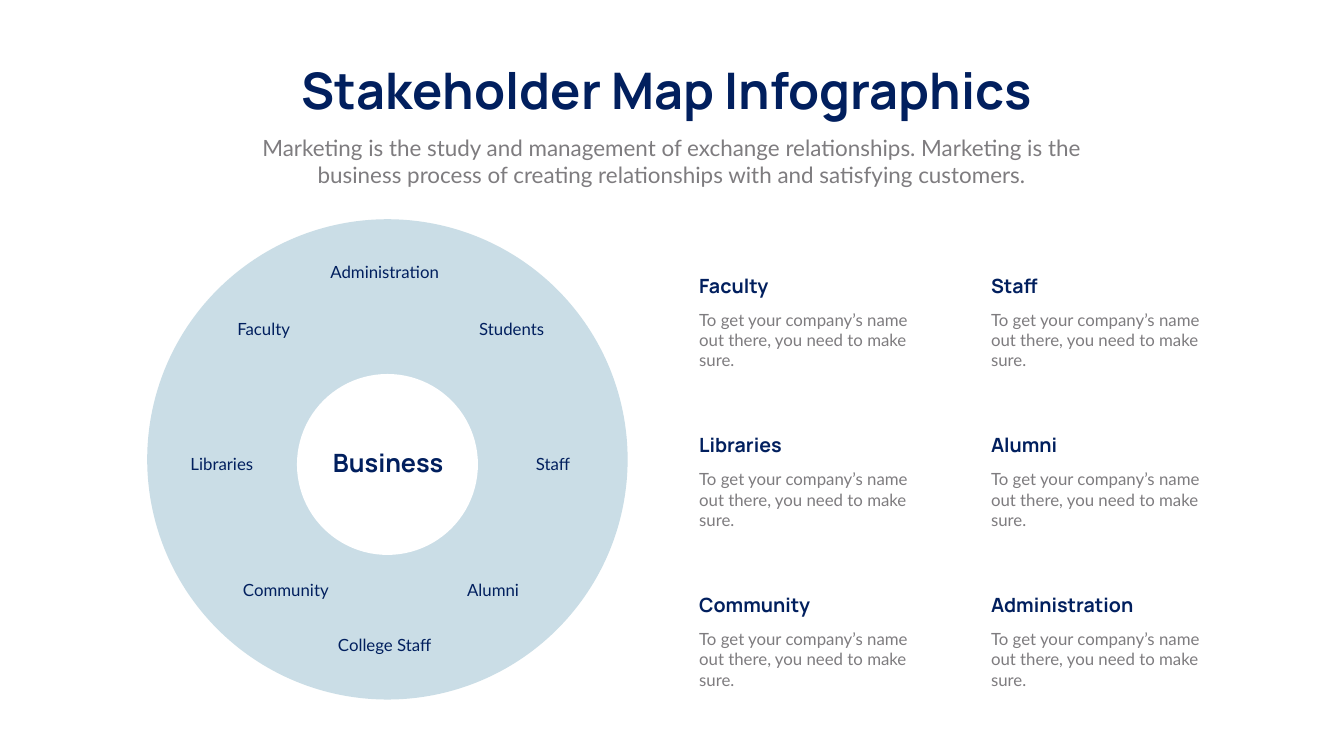
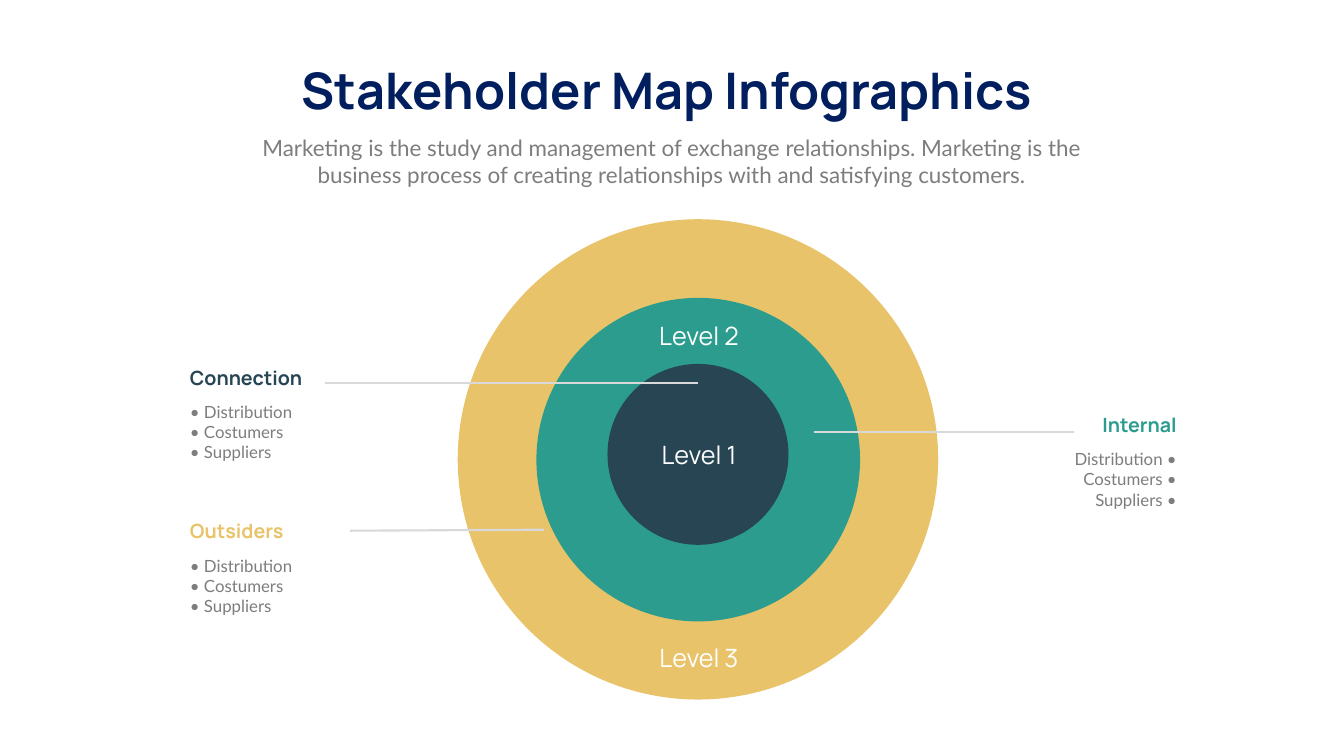
import dataclasses

import lxml.etree
import pptx
import pptx.dml.color
import pptx.enum.shapes
import pptx.enum.text
import pptx.oxml.ns
import pptx.util

Inches = pptx.util.Inches
ALIGN = pptx.enum.text.PP_ALIGN
SHAPE = pptx.enum.shapes.MSO_SHAPE


@dataclasses.dataclass(frozen=True)
class Theme:
    navy: str = "011F5E"
    grey: str = "7E7C7F"
    pale: str = "CADDE6"
    gold: str = "E8C369"
    teal: str = "2B9C8E"
    slate: str = "274553"
    rule: str = "D9D9D9"
    white: str = "FFFFFF"
    heading_font: str = "Manrope"
    body_font: str = "Lato"
    title_size: int = 72
    subtitle_size: int = 32
    level_size: int = 36
    heading_size: int = 28
    body_size: int = 24


T = Theme()
TITLE = "Stakeholder Map Infographics "
SUBTITLE = ("Marketing is the study and management of exchange relationships. "
            "Marketing is the business process of creating relationships "
            "with and satisfying customers.")
TITLE_BOX = (5.3, 1.12, 16.06, 1.31)
SUBTITLE_BOX = (4.58, 2.61, 17.49, 1.18)

WHEEL_BOX = (2.92, 4.35, 9.53, 9.53)
WHEEL_LABELS = [
    ("Faculty", 1.02, 1.93), ("Students", 5.94, 1.93),
    ("Community", 1.46, 7.1), ("Alumni", 5.57, 7.1),
    ("Libraries", 0.19, 4.61), ("Staff", 6.76, 4.61),
    ("Administration", 3.42, 0.79), ("College Staff", 3.42, 8.19),
]
CARD_GRID_BOX = (13.77, 5.38, 10.62, 7.96)
CARD_ROWS = [("Faculty", "Staff"), ("Libraries", "Alumni"),
             ("Community", "Administration")]
CARD_TEXT = "To get your company’s name out there, you need to make sure."

LEVELS_BOX = (9.08, 4.35, 9.53, 9.53)
# Left, top and diameter inside the levels box
LEVEL_DISCS = [(0, 0, 9.53, T.gold), (1.56, 1.56, 6.42, T.teal),
               (2.97, 2.87, 3.59, T.slate)]
LEVEL_LABELS = [("Level 1", 4.31), ("Level 2", 1.95), ("Level 3", 8.35)]
GROUPS = ["Distribution", "Costumers", "Suppliers"]


def write_text(tf, text, size=T.body_size, font=T.body_font, color=T.grey,
               bold=False, align=ALIGN.LEFT, wrap=True):
    """Fill a text frame, one paragraph for each line of text."""
    tf.word_wrap = wrap
    tf.auto_size = pptx.enum.text.MSO_AUTO_SIZE.SHAPE_TO_FIT_TEXT
    tf.vertical_anchor = pptx.enum.text.MSO_ANCHOR.TOP
    tf.text = text
    for p in tf.paragraphs:
        p.alignment = align
        p.space_before = pptx.util.Pt(0)
        for r in p.runs:
            r.font.name = font
            r.font.size = pptx.util.Pt(size)
            r.font.bold = bold
            r.font.color.rgb = pptx.dml.color.RGBColor.from_string(color)


def add_text(s, box, text, **fmt):
    tb = s.shapes.add_textbox(*map(Inches, box))
    write_text(tb.text_frame, text, **fmt)


def add_heading(s, box, text, **fmt):
    style = dict(font=T.heading_font, size=T.heading_size, color=T.navy, bold=True)
    add_text(s, box, text, **{**style, **fmt})


def add_disc(s, x, y, diameter, color):
    sp = s.shapes.add_shape(SHAPE.OVAL, *map(Inches, (x, y, diameter, diameter)))
    sp.shadow.inherit = False
    sp.fill.solid()
    sp.fill.fore_color.rgb = pptx.dml.color.RGBColor.from_string(color)
    sp.line.fill.background()


def add_rule(s, x1, y1, x2, y2):
    line = s.shapes.add_connector(pptx.enum.shapes.MSO_CONNECTOR.STRAIGHT,
                                  *map(Inches, (x1, y1, x2, y2)))
    line.line.color.rgb = pptx.dml.color.RGBColor.from_string(T.rule)
    line.line.width = pptx.util.Pt(3)
    lxml.etree.SubElement(line._element.spPr, pptx.oxml.ns.qn("a:effectLst"))


def fill_placeholder(sp, box, text, **fmt):
    sp.left, sp.top, sp.width, sp.height = map(Inches, box)
    write_text(sp.text_frame, text, align=ALIGN.CENTER, **fmt)


def add_titled_slide(prs):
    """Add a slide with the shared title and subtitle."""
    s = prs.slides.add_slide(prs.slide_layouts[1])
    fill_placeholder(s.shapes.title, TITLE_BOX, TITLE, font=T.heading_font,
                     size=T.title_size, color=T.navy, bold=True, wrap=False)
    body = s.placeholders[1]
    fill_placeholder(body, SUBTITLE_BOX, SUBTITLE, size=T.subtitle_size)
    for p in body.text_frame.paragraphs:
        pPr = p._p.get_or_add_pPr()
        pPr.set("marL", "0")
        pPr.set("indent", "0")
        lxml.etree.SubElement(pPr, pptx.oxml.ns.qn("a:buNone"))
    return s


def draw_wheel(s, box):
    x, y, w, _ = box
    add_disc(s, x, y, w, T.pale)
    add_disc(s, x + 2.97, y + 3.07, 3.59, T.white)
    for label, dx, dy in WHEEL_LABELS:
        add_text(s, (x + dx, y + dy, 2.58, 0.5), label,
                 color=T.navy, align=ALIGN.CENTER)
    add_heading(s, (x + 3.15, y + 4.47, 3.26, 0.71), "Business",
                size=T.level_size, align=ALIGN.CENTER)


def draw_cards(s, box):
    x, y, w, h = box
    card_w, card_h = 4.83, 1.62
    col_step = w - card_w
    row_step = (h - card_h) / (len(CARD_ROWS) - 1)
    for row, names in enumerate(CARD_ROWS):
        for col, name in enumerate(names):
            left, top = x + col * col_step, y + row * row_step
            add_heading(s, (left, top, 3.26, 0.57), name)
            add_text(s, (left, top + 0.71, card_w, 0.91), CARD_TEXT)


def draw_levels(s, box):
    x, y, w, _ = box
    for dx, dy, diameter, color in LEVEL_DISCS:
        add_disc(s, x + dx, y + dy, diameter, color)
    label_w = 2.1
    for label, dy in LEVEL_LABELS:
        add_heading(s, (x + (w - label_w) / 2 + 0.02, y + dy, label_w, 0.71), label,
                    size=T.level_size, color=T.white, bold=False, align=ALIGN.CENTER)


def draw_callout(s, box, name, color, rule, list_gap=0.71, on_right=False):
    """Draw a heading, its list and a rule given as offsets from the box."""
    x, y, w, _ = box
    align = ALIGN.RIGHT if on_right else ALIGN.LEFT
    bullet = "{} •" if on_right else "• {}"
    list_w = 2.56 if on_right else 3.7
    list_x = x + w - list_w if on_right else x
    add_heading(s, (x, y, w, 0.57), name, color=color, align=align)
    add_text(s, (list_x, y + list_gap, list_w, 1.31),
             "\n".join(bullet.format(g) for g in GROUPS), align=align)
    x1, y1, x2, y2 = rule
    add_rule(s, x + x1, y + y1, x + x2, y + y2)


def build_wheel_slide(prs):
    s = add_titled_slide(prs)
    draw_wheel(s, WHEEL_BOX)
    draw_cards(s, CARD_GRID_BOX)


def build_levels_slide(prs):
    s = add_titled_slide(prs)
    draw_levels(s, LEVELS_BOX)
    draw_callout(s, (3.67, 7.21, 3.26, 2.02), "Connection", T.slate,
                 rule=(2.78, 0.39, 10.18, 0.39))
    draw_callout(s, (3.67, 10.24, 3.26, 2.05), "Outsiders", T.gold,
                 rule=(3.27, 0.29, 7.12, 0.27), list_gap=0.74)
    draw_callout(s, (20.18, 8.15, 3.26, 2.02), "Internal", T.teal,
                 rule=(-4.03, 0.42, 1.12, 0.42), on_right=True)


def main():
    prs = pptx.Presentation()
    prs.slide_width, prs.slide_height = Inches(26.66), Inches(15)
    build_wheel_slide(prs)
    build_levels_slide(prs)
    prs.save("out.pptx")


if __name__ == "__main__":
    main()
